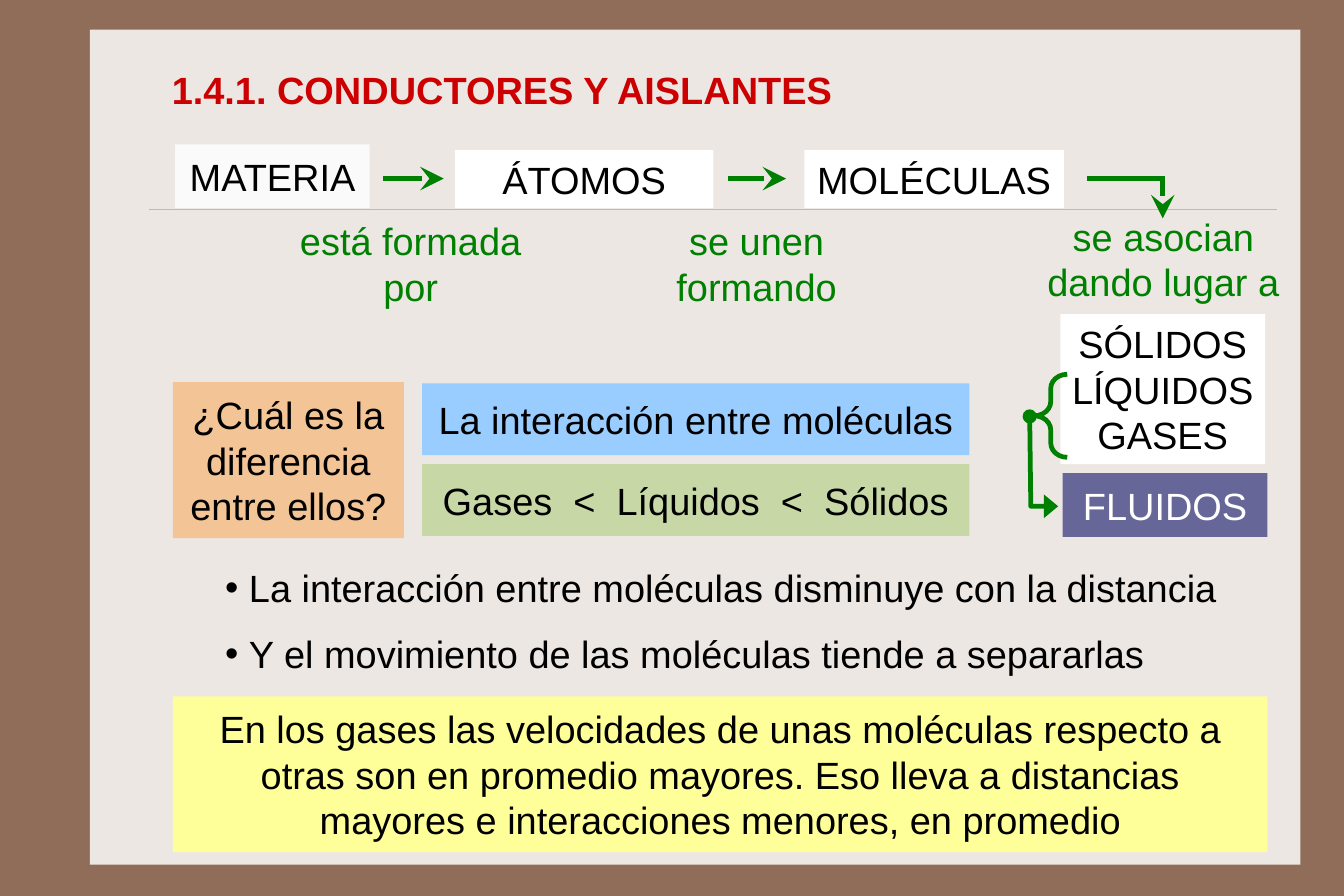
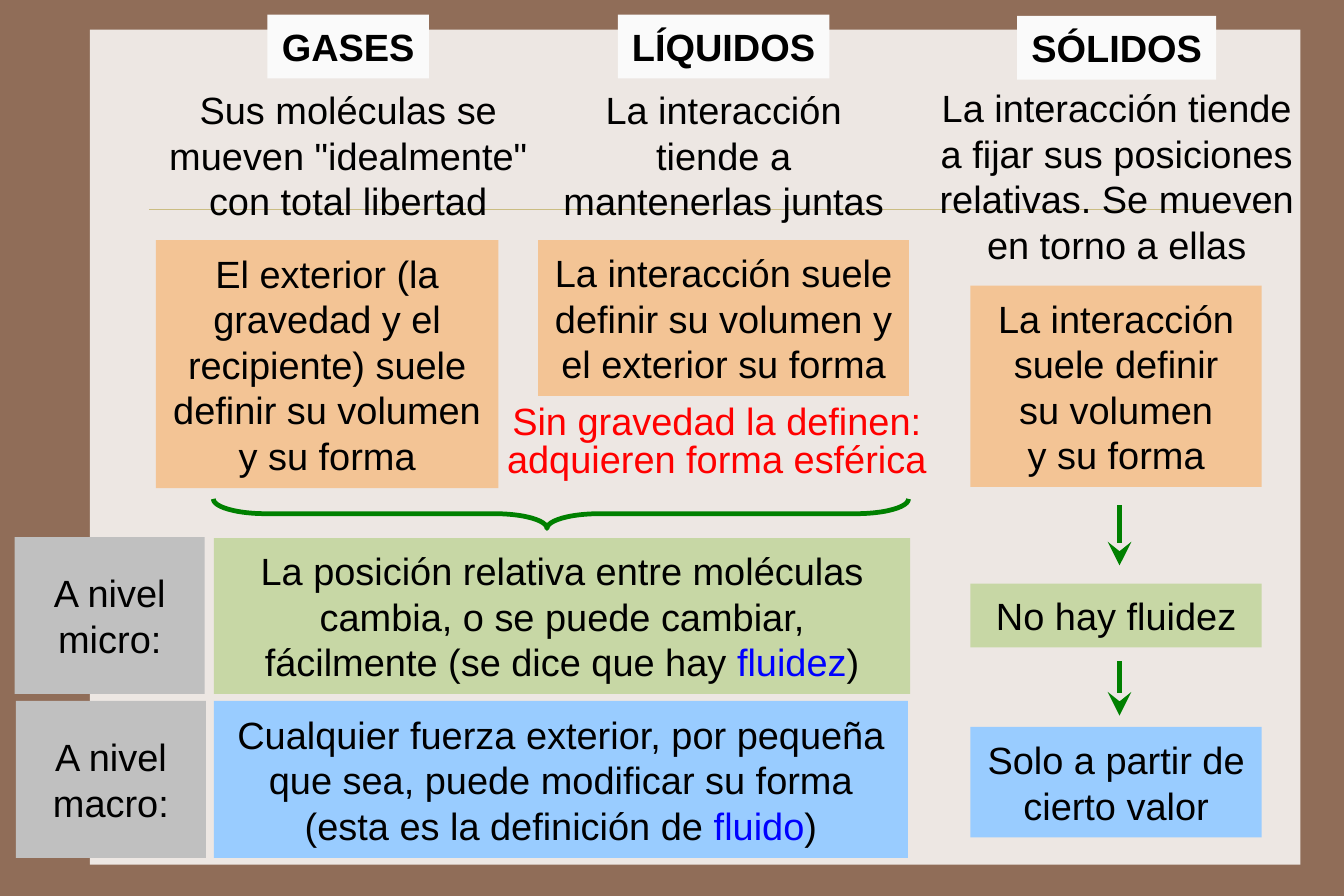
from lxml import etree
from pptx import Presentation
from pptx.dml.color import RGBColor
from pptx.enum import shapes, text
from pptx.oxml import ns
from pptx.util import Inches, Pt

FONT = "Arial"
TEXT_SIZE = Pt(24)
COLORS = {
    "background": "906D58",
    "panel": "EDE7E3",
    "rule": "CBBD83",
    "title": "CC0000",
    "text": "000000",
    "white": "FFFFFF",
    "heading": "FAFAFA",
    "green": "008000",
    "red": "FF0000",
    "highlight": "0000FF",
    "blue": "99CCFF",
    "olive": "C7D7A5",
    "orange": "F3C495",
    "yellow": "FFFF99",
    "purple": "666699",
    "gray": "C0C0C0",
}
ARROWHEADS = {
    "stealth": {"type": "stealth", "w": "lg", "len": "lg"},
    "triangle": {"type": "triangle", "w": "lg", "len": "med"},
    "oval": {"type": "oval", "w": "med", "len": "med"},
}


def rgb(name):
    return RGBColor.from_string(COLORS[name])


def inches(values):
    return [Inches(value) for value in values]


def format_run(run, color, bold=False):
    run.font.name = FONT
    run.font.size = TEXT_SIZE
    run.font.bold = bold
    run.font.color.rgb = rgb(color)


def format_frame(frame):
    frame.word_wrap = True
    frame.auto_size = text.MSO_AUTO_SIZE.NONE
    frame.vertical_anchor = text.MSO_ANCHOR.MIDDLE
    frame.margin_left = frame.margin_right = Inches(0.1)
    frame.margin_top = frame.margin_bottom = Inches(0.05)


def add_rectangle(slide, box, fill):
    shape = slide.shapes.add_shape(shapes.MSO_SHAPE.RECTANGLE, *inches(box))
    shape.shadow.inherit = False
    shape.fill.solid()
    shape.fill.fore_color.rgb = rgb(fill)
    shape.line.fill.background()
    return shape


def add_text(slide, box, content, fill=None, color="text", bold=False, highlight=None):
    if fill:
        shape = add_rectangle(slide, box, fill)
    else:
        shape = slide.shapes.add_textbox(*inches(box))
    frame = shape.text_frame
    format_frame(frame)
    frame.text = content
    for paragraph in frame.paragraphs:
        paragraph.alignment = text.PP_ALIGN.CENTER
        if highlight and highlight in paragraph.text:
            parts = paragraph.text.partition(highlight)
            paragraph.clear()
            for part in parts:
                paragraph.add_run().text = part
        for run in paragraph.runs:
            format_run(run, "highlight" if run.text == highlight else color, bold)
    return shape


def add_bullets(slide, box, content):
    shape = add_text(slide, box, content)
    for index, paragraph in enumerate(shape.text_frame.paragraphs):
        paragraph.alignment = text.PP_ALIGN.LEFT
        paragraph.space_before = Pt(13 if index else 0)
        properties = paragraph._p.get_or_add_pPr()
        properties.set("marL", str(Inches(0.21)))
        properties.set("indent", str(-Inches(0.21)))
        etree.SubElement(properties, ns.qn("a:buFont")).set("typeface", FONT)
        etree.SubElement(properties, ns.qn("a:buChar")).set("char", "•")


def add_title(slide, box, content):
    title = slide.shapes.title
    title.left, title.top, title.width, title.height = inches(box)
    format_frame(title.text_frame)
    title.text_frame.text = content
    paragraph = title.text_frame.paragraphs[0]
    paragraph.alignment = text.PP_ALIGN.LEFT
    format_run(paragraph.runs[0], "title", bold=True)


def style_line(shape, color="green", width=3, head=None, tail=None):
    shape.line.color.rgb = rgb(color)
    shape.line.width = Pt(width)
    line = shape.line._get_or_add_ln()
    for tag, kind in (("a:headEnd", head), ("a:tailEnd", tail)):
        if kind:
            etree.SubElement(line, ns.qn(tag), ARROWHEADS[kind])


def add_line(slide, start, end, **style):
    connector = slide.shapes.add_connector(
        shapes.MSO_CONNECTOR.STRAIGHT, *inches(start + end))
    style_line(connector, **style)
    etree.SubElement(connector._element.spPr, ns.qn("a:effectLst"))
    return connector


def add_bent_arrow(slide, points, **style):
    start, *others = [inches(point) for point in points]
    builder = slide.shapes.build_freeform(*start)
    builder.add_line_segments(others, close=False)
    shape = builder.convert_to_shape()
    shape.shadow.inherit = False
    shape.fill.background()
    style_line(shape, **style)


def add_brace(slide, box, adjustments, rotation=0):
    brace = slide.shapes.add_shape(shapes.MSO_SHAPE.LEFT_BRACE, *inches(box))
    brace.shadow.inherit = False
    brace.rotation = rotation
    brace.fill.background()
    for index, value in enumerate(adjustments):
        brace.adjustments[index] = value
    style_line(brace)


def decorate_master(presentation, slide):
    master = presentation.slide_master
    master.background.fill.solid()
    master.background.fill.fore_color.rgb = rgb("background")
    panel = add_rectangle(slide, (0.79, 0.26, 10.64, 7.34), "panel")
    rule = add_line(slide, (1.31, 1.84), (11.22, 1.84), color="rule", width=0.25)
    for number, shape in enumerate((panel, rule), start=101):
        shape._element.xpath(".//p:cNvPr")[0].set("id", str(number))
        master.shapes._spTree.append(shape._element)


def build_conductors(slide):
    add_title(slide, (1.41, 0.53, 7.42, 0.51), "1.4.1. CONDUCTORES Y AISLANTES")

    for box, content, fill in (
        ((1.54, 1.27, 1.71, 0.56), "MATERIA", "heading"),
        ((4, 1.32, 2.27, 0.51), "ÁTOMOS", "white"),
        ((7.07, 1.32, 2.28, 0.51), "MOLÉCULAS", "white"),
        ((9.32, 2.76, 1.8, 1.32), "SÓLIDOS\nLÍQUIDOS\nGASES", "white"),
        ((1.52, 3.36, 2.03, 1.37), "¿Cuál es la diferencia entre ellos?", "orange"),
        ((3.71, 3.37, 4.81, 0.63), "La interacción entre moléculas", "blue"),
        ((3.71, 4.08, 4.81, 0.63), "Gases  <  Líquidos  <  Sólidos", "olive"),
        ((1.52, 6.12, 9.62, 1.37),
         "En los gases las velocidades de unas moléculas respecto a otras son en "
         "promedio mayores. Eso lleva a distancias mayores e interacciones menores, "
         "en promedio", "yellow"),
    ):
        add_text(slide, box, content, fill)
    add_text(slide, (9.34, 4.16, 1.8, 0.56), "FLUIDOS", "purple", "white")

    for box, content in (
        ((2.53, 1.86, 2.16, 0.91), "está formada\npor"),
        ((5.83, 1.86, 1.64, 0.91), "se unen formando"),
        ((9.06, 1.82, 2.33, 0.91), "se asocian dando lugar a"),
    ):
        add_text(slide, box, content, color="green")

    for left, right in ((3.37, 3.9), (6.4, 6.91)):
        add_line(slide, (left, 1.57), (right, 1.57), tail="stealth")
    add_line(slide, (10.22, 1.57), (10.22, 1.92), tail="stealth")
    add_line(slide, (9.55, 1.57), (10.24, 1.57))
    add_brace(slide, (9.09, 3.29, 0.29, 0.73), (0.43, 0.5))
    add_bent_arrow(slide, ((9.05, 3.66), (9.06, 4.45), (9.3, 4.45)),
                   head="oval", tail="triangle")

    add_bullets(slide, (1.88, 4.88, 9.08, 1.14),
                "La interacción entre moléculas disminuye con la distancia\n"
                "Y el movimiento de las moléculas tiende a separarlas")


def build_states(slide):
    for box, content in (
        ((2.35, 0.13, 1.42, 0.56), "GASES"),
        ((5.43, 0.13, 1.86, 0.56), "LÍQUIDOS"),
        ((8.94, 0.14, 1.75, 0.56), "SÓLIDOS"),
    ):
        add_text(slide, box, content, "heading", bold=True)

    for box, content, fill in (
        ((1.25, 0.68, 3.62, 1.37),
         'Sus moléculas se mueven "idealmente" con total libertad', None),
        ((4.72, 0.68, 3.28, 1.37),
         "La interacción\ntiende a mantenerlas juntas", None),
        ((8.06, 0.66, 3.51, 1.77),
         "La interacción tiende a fijar sus posiciones relativas. "
         "Se mueven en torno a ellas", None),
        ((1.37, 2.11, 3.01, 2.18),
         "El exterior (la gravedad y el recipiente) suele definir su volumen\n"
         "y su forma", "orange"),
        ((4.73, 2.11, 3.26, 1.37),
         "La interacción suele definir su volumen y el exterior su forma", "orange"),
        ((8.53, 2.51, 2.56, 1.77),
         "La interacción suele definir\nsu volumen\ny su forma", "orange"),
        ((0.13, 4.72, 1.67, 1.38), "A nivel micro:", "gray"),
        ((0.14, 6.16, 1.67, 1.38), "A nivel macro:", "gray"),
        ((8.53, 5.13, 2.56, 0.56), "No hay fluidez", "olive"),
        ((8.53, 6.39, 2.56, 0.97), "Solo a partir de cierto valor", "blue"),
    ):
        add_text(slide, box, content, fill)

    add_text(slide, (1.88, 4.73, 6.12, 1.37),
             "La posición relativa entre moléculas cambia, o se puede cambiar,\n"
             "fácilmente (se dice que hay fluidez)", "olive", highlight="fluidez")
    add_text(slide, (1.88, 6.16, 6.1, 1.38),
             "Cualquier fuerza exterior, por pequeña que sea, puede modificar su forma "
             "(esta es la definición de fluido)", "blue", highlight="fluido")
    gravity = add_text(slide, (4.27, 3.48, 4.06, 0.83),
                       "Sin gravedad la definen: adquieren forma esférica", color="red")
    gravity.text_frame.paragraphs[0].line_spacing = Pt(24)

    add_brace(slide, (4.8, 1.46, 0.26, 6.11), (1.78, 0.48), rotation=270)
    for top, bottom in ((4.44, 4.97), (5.81, 6.29)):
        add_line(slide, (9.84, top), (9.84, bottom), tail="stealth")


def main():
    presentation = Presentation()
    presentation.slide_width = Pt(850.5)
    presentation.slide_height = Pt(567)
    title_only, blank = presentation.slide_layouts[5], presentation.slide_layouts[6]

    conductors = presentation.slides.add_slide(title_only)
    decorate_master(presentation, conductors)
    build_conductors(conductors)
    build_states(presentation.slides.add_slide(blank))
    presentation.save("out.pptx")


if __name__ == "__main__":
    main()
